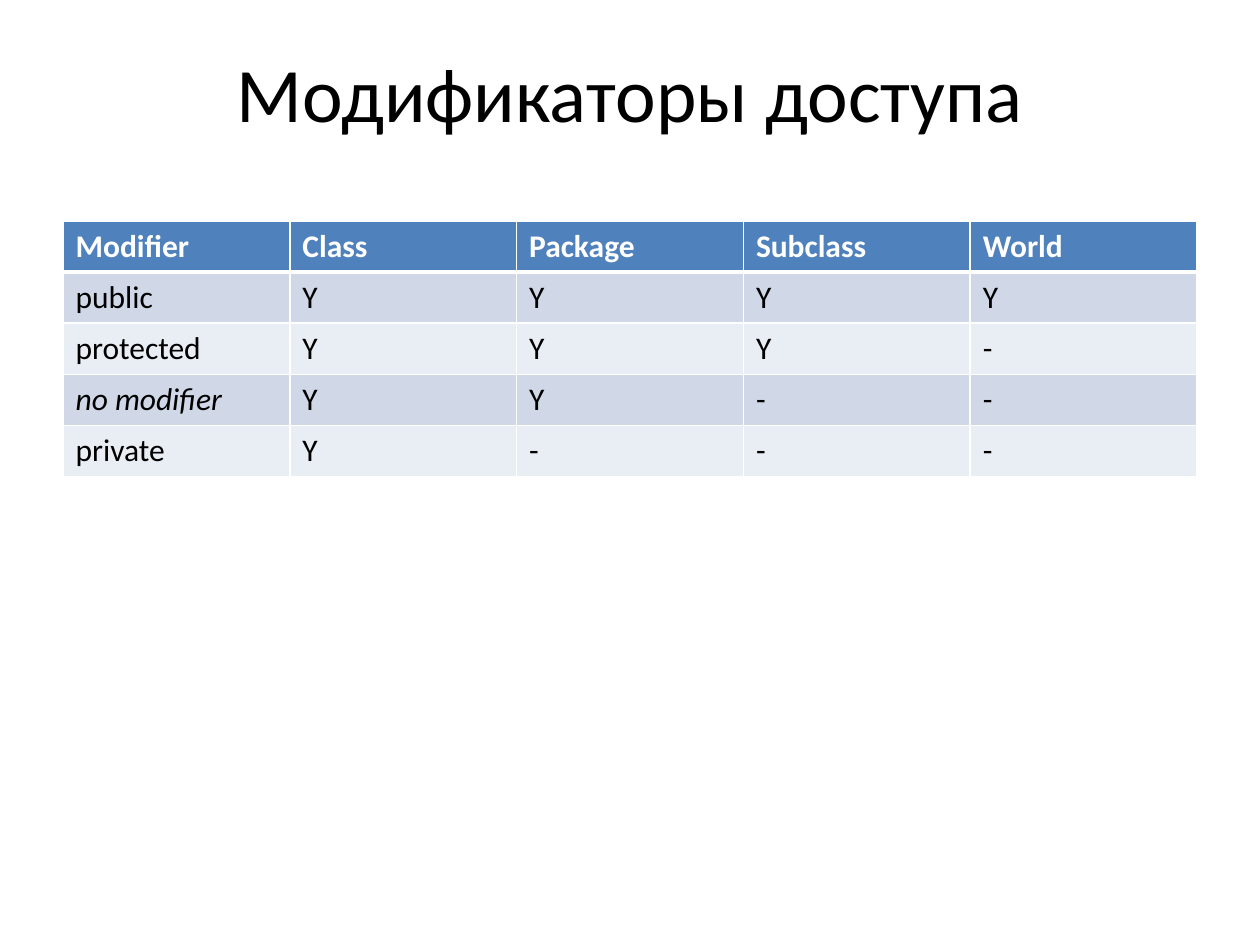
from dataclasses import dataclass

from lxml import etree
from pptx import Presentation
from pptx import util as u
from pptx.dml.color import RGBColor
from pptx.enum import text
from pptx.oxml import ns

HEADING = "Модификаторы доступа"
COLUMNS = ["Modifier", "Class", "Package", "Subclass", "World"]
ACCESS = [
    ["public", "Y", "Y", "Y", "Y"],
    ["protected", "Y", "Y", "Y", "-"],
    ["no modifier", "Y", "Y", "-", "-"],
    ["private", "Y", "-", "-", "-"],
]
ITALIC_LABEL = "no modifier"

SLIDE = (1260, 945)
HEADING_BOX = (63, 38, 1134, 107)
TABLE_LEFT, TABLE_TOP, TABLE_WIDTH, ROW_HEIGHT = 63, 221, 1134, 51


@dataclass(frozen=True)
class Theme:
    font: str = "Calibri"
    ink: str = "000000"
    paper: str = "FFFFFF"
    header: str = "4F81BD"
    bands: tuple = ("D0D8E8", "E9EDF4")
    heading_size: int = 44
    cell_size: int = 18
    thin: int = 1
    thick: int = 3


THEME = Theme()


def px(length):
    return u.Emu(round(length * 914400 / 126))


def write(frame, content, *, size, color=THEME.ink, bold=False, italic=False,
          align=text.PP_ALIGN.LEFT, anchor=text.MSO_ANCHOR.TOP):
    frame.word_wrap = True
    frame.vertical_anchor = anchor
    paragraph = frame.paragraphs[0]
    paragraph.alignment = align
    run = paragraph.add_run()
    run.text = content
    font = run.font
    font.name, font.size, font.bold, font.italic = THEME.font, u.Pt(size), bold, italic
    font.color.rgb = RGBColor.from_string(color)


def draw_borders(cell, top, bottom):
    properties = cell._tc.get_or_add_tcPr()
    widths = {"L": THEME.thin, "R": THEME.thin, "T": top, "B": bottom}
    for side, width in widths.items():
        line = etree.SubElement(properties, ns.qn(f"a:ln{side}"), w=str(u.Pt(width)))
        fill = etree.SubElement(line, ns.qn("a:solidFill"))
        etree.SubElement(fill, ns.qn("a:srgbClr"), val=THEME.paper)


def add_heading(slide):
    heading = slide.shapes.title
    heading.left, heading.top, heading.width, heading.height = map(px, HEADING_BOX)
    write(heading.text_frame, HEADING, size=THEME.heading_size,
          align=text.PP_ALIGN.CENTER, anchor=text.MSO_ANCHOR.MIDDLE)


def add_access_table(slide):
    rows = [COLUMNS, *ACCESS]
    box = (TABLE_LEFT, TABLE_TOP, TABLE_WIDTH, ROW_HEIGHT * len(rows))
    grid = slide.shapes.add_table(len(rows), len(COLUMNS), *map(px, box)).table
    for r, row in enumerate(rows):
        is_header = r == 0
        fill = THEME.header if is_header else THEME.bands[(r - 1) % 2]
        for c, label in enumerate(row):
            cell = grid.cell(r, c)
            write(cell.text_frame, label, size=THEME.cell_size,
                  color=THEME.paper if is_header else THEME.ink,
                  bold=is_header, italic=label == ITALIC_LABEL)
            draw_borders(cell, top=THEME.thick if r == 1 else THEME.thin,
                         bottom=THEME.thick if is_header else THEME.thin)
            cell.fill.solid()
            cell.fill.fore_color.rgb = RGBColor.from_string(fill)


def main():
    deck = Presentation()
    deck.slide_width, deck.slide_height = map(px, SLIDE)
    slide = deck.slides.add_slide(deck.slide_layouts[5])
    add_heading(slide)
    add_access_table(slide)
    deck.save("out.pptx")


if __name__ == "__main__":
    main()
